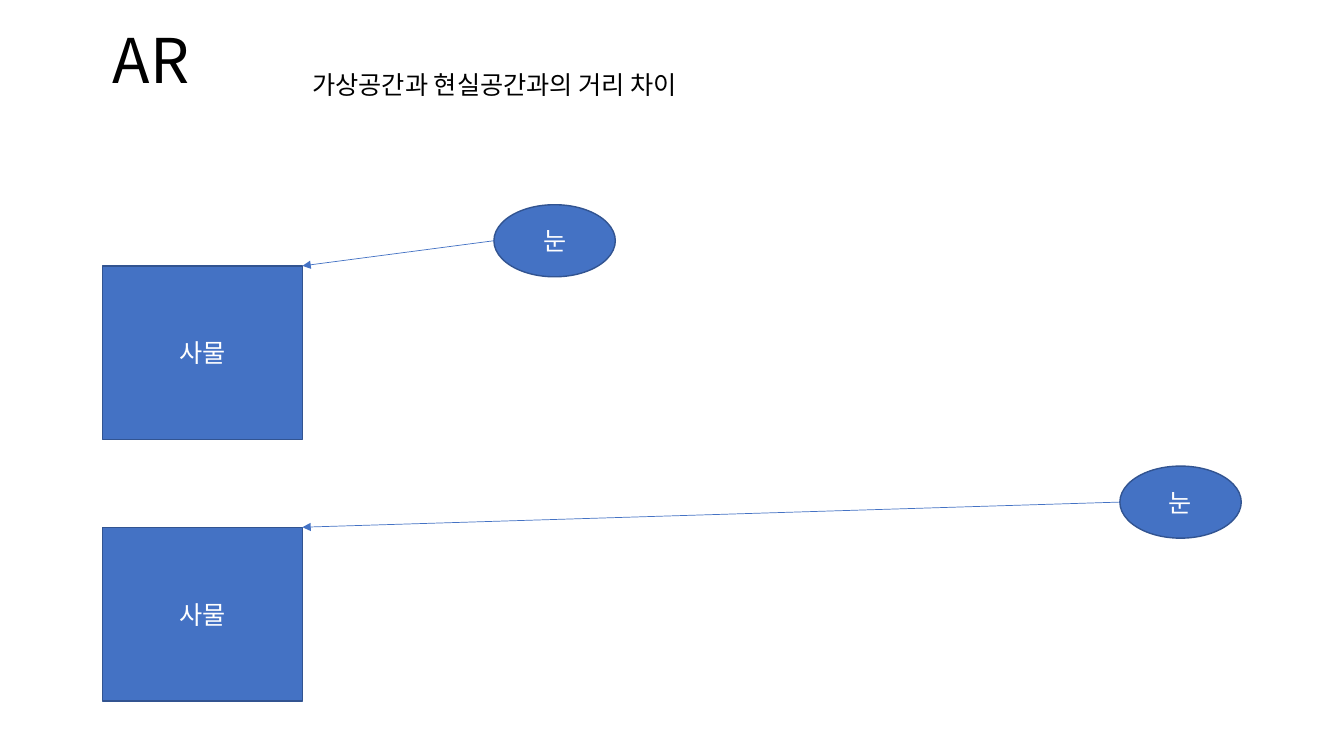
from lxml import etree
from pptx import Presentation
from pptx.dml.color import RGBColor
from pptx.enum.shapes import MSO_CONNECTOR, MSO_SHAPE
from pptx.enum.text import MSO_ANCHOR, PP_ALIGN
from pptx.oxml.ns import qn
from pptx.util import Pt

# Content
TITLE = "AR"
SUBTITLE = "가상공간과 현실공간과의 거리 차이"
OBJECT, EYE = "사물", "눈"
SCENES = [(146.2, 352.8), (332.9, 799.9)]  # top of scene, left of eye

# Style and sizes in points
FONT = "Noto Sans CJK KR"
BLACK = RGBColor(0x00, 0x00, 0x00)
WHITE = RGBColor(0xFF, 0xFF, 0xFF)
BLUE = RGBColor(0x44, 0x72, 0xC4)
NAVY = RGBColor(0x32, 0x54, 0x91)
OBJECT_LEFT, OBJECT_W, OBJECT_H = 73.2, 142.8, 124.2
EYE_W, EYE_H = 86.7, 51.5
OBJECT_DROP = 43.7  # object top below eye top


def write(shape, text, size, color, align, anchor):
    tf = shape.text_frame
    tf.word_wrap = True
    tf.vertical_anchor = anchor
    p = tf.paragraphs[0]
    p.alignment = align
    r = p.add_run()
    r.text = text
    r.font.name, r.font.size, r.font.color.rgb = FONT, Pt(size), color
    fonts = r.font._element
    etree.SubElement(fonts, qn("a:ea")).set("typeface", FONT)
    return tf


def add_box(sp_tree, kind, text, x, y, w, h):
    sp = sp_tree.add_shape(kind, Pt(x), Pt(y), Pt(w), Pt(h))
    sp.shadow.inherit = False
    sp.fill.solid()
    sp.fill.fore_color.rgb = BLUE
    sp.line.color.rgb = NAVY
    sp.line.width = Pt(1)
    write(sp, text, 18, WHITE, PP_ALIGN.CENTER, MSO_ANCHOR.MIDDLE)


def add_arrow(sp_tree, x1, y1, x2, y2):
    line = sp_tree.add_connector(MSO_CONNECTOR.STRAIGHT, Pt(x1), Pt(y1), Pt(x2), Pt(y2))
    line.line.color.rgb = BLUE
    line.line.width = Pt(0.5)
    etree.SubElement(line.line._get_or_add_ln(), qn("a:tailEnd")).set("type", "triangle")
    etree.SubElement(line._element.spPr, qn("a:effectLst"))


prs = Presentation()
prs.slide_width, prs.slide_height = Pt(960), Pt(540)
s = prs.slides.add_slide(prs.slide_layouts[6])

# Headings
title = s.shapes.add_textbox(Pt(0), Pt(1.4), Pt(216), Pt(72.7))
tf = write(title, TITLE, 44, BLACK, PP_ALIGN.CENTER, MSO_ANCHOR.MIDDLE)
tf.margin_top, tf.margin_bottom = Pt(8.8), Pt(0)
subtitle = s.shapes.add_textbox(Pt(216), Pt(46.1), Pt(373.7), Pt(29))
write(subtitle, SUBTITLE, 18, BLACK, PP_ALIGN.LEFT, MSO_ANCHOR.TOP)

# Scenes: an eye looking at the corner of an object
for top, eye_left in SCENES:
    scene = s.shapes.add_group_shape().shapes
    object_top = top + OBJECT_DROP
    add_box(scene, MSO_SHAPE.RECTANGLE, OBJECT, OBJECT_LEFT, object_top, OBJECT_W, OBJECT_H)
    add_box(scene, MSO_SHAPE.OVAL, EYE, eye_left, top, EYE_W, EYE_H)
    add_arrow(scene, eye_left, top + EYE_H / 2, OBJECT_LEFT + OBJECT_W, object_top)

prs.save("out.pptx")
